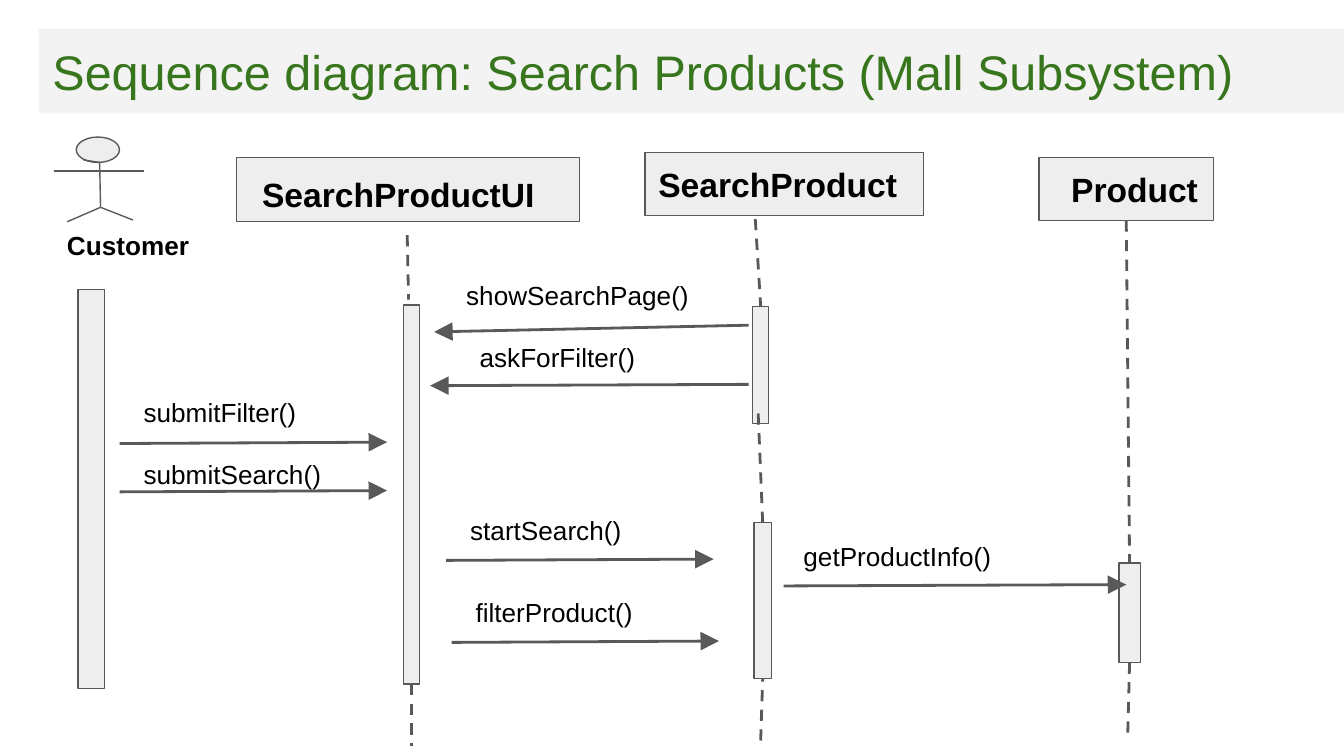
from lxml.etree import SubElement
from pptx import Presentation
from pptx.dml.color import RGBColor
from pptx.enum.dml import MSO_LINE
from pptx.enum.shapes import MSO_CONNECTOR, MSO_SHAPE
from pptx.enum.text import MSO_ANCHOR, MSO_AUTO_SIZE, PP_ALIGN
from pptx.oxml.ns import qn
from pptx.util import Inches, Pt

COLUMNS, ROWS = 100, 56.25
CELL = Inches(10) / COLUMNS
INK, PANEL, BAND, GREEN, BLACK = "595959", "EEEEEE", "F3F3F3", "38761D", "000000"
TOP, BOTTOM = 0, 2

HEADERS = {
    "SearchProductUI": ((17.6, 11.7, 25.5, 4.8), 1.9, 1.7),
    "SearchProduct": ((48, 11.35, 20.7, 4.7), 1, 1),
    "Product": ((77.3, 11.7, 13, 4.7), 2.4, 1),
}
ACTIVATIONS = {
    "customer": (5.8, 21.55, 2, 29.7),
    "page": (30, 22.7, 1.2, 28.2),
    "prompt": (56, 22.8, 1.2, 8.7),
    "search": (56.1, 38.9, 1.3, 11.6),
    "product": (83.25, 41.9, 1.6, 7.4),
}
MESSAGES = [
    ("showSearchPage()", (55.7, 24.2), (32.3, 24.7), 1.4, 4.9),
    ("askForFilter()", (55.7, 28.6), (32, 28.7), 2.7, 4.3),
    ("submitFilter()", (8.9, 33), (28.8, 32.9), 0.8, 4.5),
    ("submitSearch()", (8.9, 36.6), (28.8, 36.5), 0.8, 3.5),
    ("startSearch()", (33.2, 41.7), (53.1, 41.6), 0.8, 4.4),
    ("filterProduct()", (33.6, 47.8), (53.5, 47.7), 0.8, 4.4),
    ("getProductInfo()", (58.3, 43.6), (83.8, 43.5), 0.5, 4.4),
]


def cells(*values):
    """Convert grid cells to slide lengths."""
    return [round(value * CELL) for value in values]


def color(hex_string):
    """Return the colour for a hex string."""
    return RGBColor.from_string(hex_string)


def write_text(shape, text, size=14, bold=False, ink=BLACK, anchor=MSO_ANCHOR.TOP, left=1, top=1):
    """Fill a shape with one formatted, left-aligned paragraph."""
    frame = shape.text_frame
    frame.auto_size = MSO_AUTO_SIZE.NONE
    frame.word_wrap = True
    frame.vertical_anchor = anchor
    frame.margin_left, frame.margin_top, frame.margin_right, frame.margin_bottom = cells(left, top, 1, 1)
    paragraph = frame.paragraphs[0]
    paragraph.alignment = PP_ALIGN.LEFT
    run = paragraph.add_run()
    run.text = text
    run.font.name, run.font.size, run.font.bold = "Arial", Pt(size), bold
    run.font.color.rgb = color(ink)


def add_panel(slide, box, kind=MSO_SHAPE.RECTANGLE):
    """Add an outlined grey shape."""
    shape = slide.shapes.add_shape(kind, *cells(*box))
    shape.shadow.inherit = False
    shape.fill.solid()
    shape.fill.fore_color.rgb = color(PANEL)
    shape.line.color.rgb = color(INK)
    shape.line.width = Pt(0.75)
    return shape


def add_line(slide, start, end, width=0.75, dashed=False, arrow=False):
    """Add a straight line, optionally dashed or with an arrowhead."""
    line = slide.shapes.add_connector(MSO_CONNECTOR.STRAIGHT, *cells(*start, *end))
    line.line.color.rgb = color(INK)
    line.line.width = Pt(width)
    if dashed:
        line.line.dash_style = MSO_LINE.DASH
    if arrow:
        SubElement(line.line._get_or_add_ln(), qn("a:tailEnd"), type="triangle", w="lg", len="lg")
    SubElement(line._element.spPr, qn("a:effectLst"))
    return line


def add_label(slide, text, box, **text_format):
    """Add a text box."""
    write_text(slide.shapes.add_textbox(*cells(*box)), text, **text_format)


def draw_title(slide, box, text):
    """Place and format the title band."""
    title = slide.shapes.title
    title.left, title.top, title.width, title.height = cells(*box)
    title.fill.solid()
    title.fill.fore_color.rgb = color(BAND)
    write_text(title, text, size=26, ink=GREEN, anchor=MSO_ANCHOR.MIDDLE)


def draw_actor(slide, box, name):
    """Draw a stick figure inside the box with its name below."""
    left, top, width, height = box

    def point(across, down):
        """Locate a share of the box."""
        return left + across * width, top + down * height

    head = (*point(0.25, 0), 0.48 * width, 0.3 * height)
    add_panel(slide, head, MSO_SHAPE.OVAL)
    neck, hip = point(0.51, 0.3), point(0.52, 0.83)
    limbs = [
        (neck, hip),
        (point(0.33, 0.27), neck),
        (point(0, 0.4), point(1, 0.4)),
        (hip, point(0.15, 1)),
        (hip, point(0.88, 0.98)),
    ]
    for start, end in limbs:
        add_line(slide, start, end)
    add_label(slide, name, (left, top + 0.93 * height, 15.3, 4.7), bold=True)


def draw_header(slide, box, name, left, top):
    """Draw a participant's header and return it."""
    header = add_panel(slide, box)
    write_text(header, name, size=18, bold=True, anchor=MSO_ANCHOR.MIDDLE, left=left, top=top)
    return header


def draw_lifeline(slide, start, end, begin=None, finish=None):
    """Draw a dashed lifeline, joined to the given shapes."""
    line = add_line(slide, start, end, width=1.5, dashed=True)
    if begin:
        line.begin_connect(*begin)
    if finish:
        line.end_connect(*finish)


def draw_message(slide, text, start, end, indent, rise):
    """Draw a message arrow with its label above."""
    add_line(slide, start, end, width=1.5, arrow=True)
    left = min(start[0], end[0])
    top = max(start[1], end[1]) - rise
    add_label(slide, text, (left + indent, top, 21, 2.7))


def draw_sequence(slide):
    """Draw participants, activations, lifelines and messages."""
    headers = {name: draw_header(slide, box, name, left, top) for name, (box, left, top) in HEADERS.items()}
    bars = {name: add_panel(slide, box) for name, box in ACTIVATIONS.items()}
    draw_lifeline(slide, (30.3, 17.5), (30.4, 22.3))
    draw_lifeline(slide, (30.6, 50.9), (30.6, 55.5), begin=(bars["page"], BOTTOM))
    draw_lifeline(slide, (56.2, 16.3), (56.6, 22.8), finish=(bars["prompt"], TOP))
    draw_lifeline(slide, (56.7, 38.9), (56.4, 30.4), begin=(bars["search"], TOP))
    draw_lifeline(slide, (56.6, 55.1), (56.8, 50.5), finish=(bars["search"], BOTTOM))
    draw_lifeline(slide, (83.8, 16.4), (84.1, 41.9), (headers["Product"], BOTTOM), (bars["product"], TOP))
    draw_lifeline(slide, (84.1, 49.3), (83.9, 55.1), begin=(bars["product"], BOTTOM))
    for message in MESSAGES:
        draw_message(slide, *message)


def main():
    """Build and save the slide."""
    presentation = Presentation()
    presentation.slide_width, presentation.slide_height = cells(COLUMNS, ROWS)
    slide = presentation.slides.add_slide(presentation.slide_layouts[5])
    draw_title(slide, (2.9, 2.15, 97.1, 6.3), "Sequence diagram: Search Products (Mall Subsystem)")
    draw_actor(slide, (4, 10.2, 6.7, 6.3), "Customer")
    draw_sequence(slide)
    presentation.save("out.pptx")


if __name__ == "__main__":
    main()
